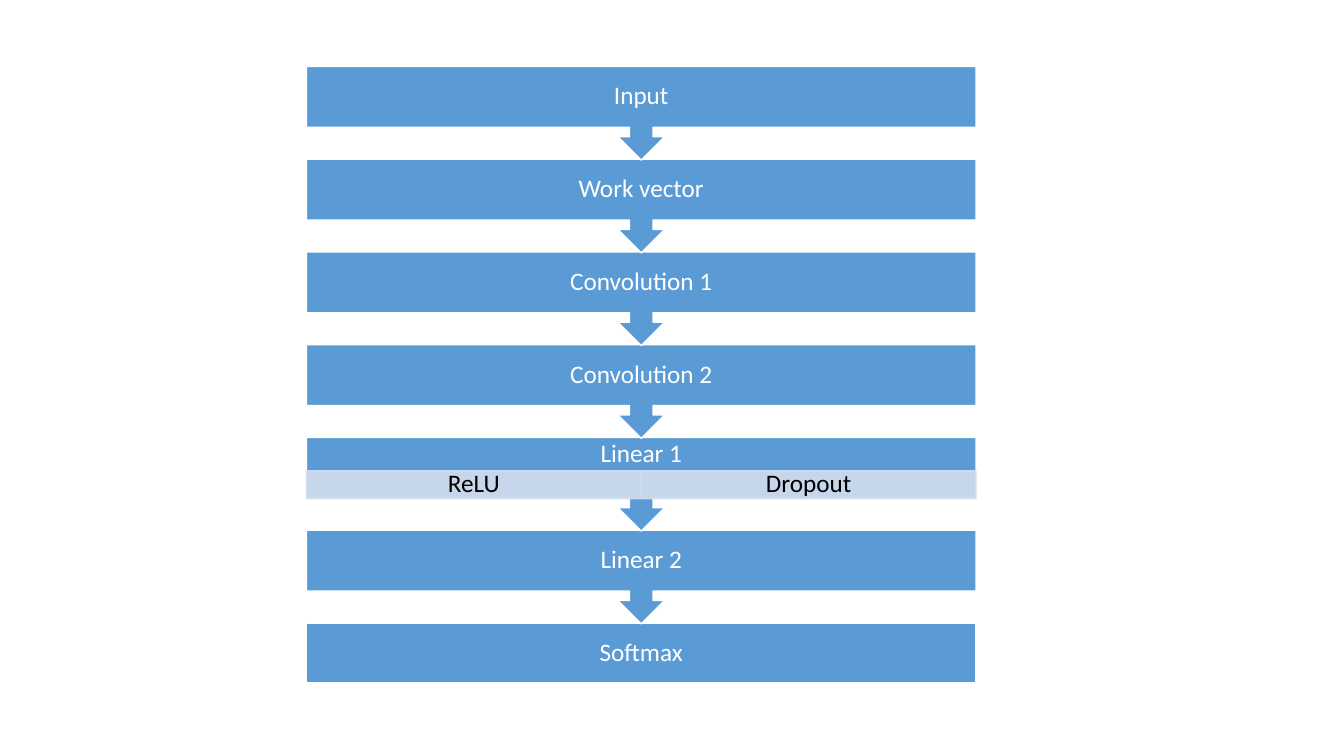
import pptx
import pptx.util
import pptx.dml.color
import pptx.enum.shapes
import pptx.enum.text
import pptx.oxml.ns
import lxml.etree

RGB = pptx.dml.color.RGBColor
BLUE = RGB(0x5B, 0x9B, 0xD5)
PALE = RGB(0xD2, 0xDE, 0xEF)
WHITE = RGB(0xFF, 0xFF, 0xFF)
BLACK = RGB(0x00, 0x00, 0x00)
KIND = pptx.enum.shapes.MSO_SHAPE

LAYERS = ["Input", "Work vector", "Convolution 1", "Convolution 2",
          "Linear 1", "Linear 2", "Softmax"]
CELLS = {"Linear 1": ["ReLU", "Dropout"]}

# Heights in rows of the grid
BAR = 0.65
CALL = 1.01
HEAD = 0.36
CELL = 0.3


class Flow:
    """Style and slide of a flow chart on a grid of columns and rows."""
    font, size = "Calibri", 18
    left, top, col, row = 3.04, 0.66, 3.32, 0.92

    def __init__(self, slide):
        """Keep the slide to draw on."""
        self.slide = slide

    def area(self, x, y, wide, high):
        """Turn grid units into slide lengths."""
        return [pptx.util.Inches(n) for n in (
            self.left + x * self.col, self.top + y * self.row,
            wide * self.col, high * self.row)]

    def block(self, kind, area, fill, line):
        """Add a filled, outlined shape."""
        shape = self.slide.shapes.add_shape(kind, *self.area(*area))
        shape.shadow.inherit = False
        shape.fill.solid()
        shape.fill.fore_color.rgb = fill
        shape.line.color.rgb = line
        shape.line.width = pptx.util.Pt(1)
        return shape

    def label(self, shape, text, color):
        """Write centred text in a shape or text box."""
        frame = shape.text_frame
        frame.word_wrap = True
        frame.vertical_anchor = pptx.enum.text.MSO_ANCHOR.MIDDLE
        frame.margin_left = frame.margin_right = pptx.util.Inches(0.14)
        frame.margin_top = frame.margin_bottom = pptx.util.Inches(0.03)
        para = frame.paragraphs[0]
        para.text = text
        para.alignment = pptx.enum.text.PP_ALIGN.CENTER
        para.line_spacing = 0.9
        para.font.name = self.font
        para.font.size = pptx.util.Pt(self.size)
        para.font.color.rgb = color

    def step(self, y, text, high):
        """Add a bar with an arrow down to the next one."""
        shape = self.block(KIND.UP_ARROW_CALLOUT, (0, y, 2, CALL), BLUE, WHITE)
        shape.rotation = 180
        box = self.slide.shapes.add_textbox(*self.area(0, y, 2, high))
        self.label(box, text, WHITE)

    def last(self, y, text):
        """Add the closing bar."""
        shape = self.block(KIND.RECTANGLE, (0, y, 2, BAR), BLUE, WHITE)
        self.label(shape, text, WHITE)

    def cell(self, x, y, text):
        """Add a pale, slightly clear cell inside a bar."""
        shape = self.block(KIND.RECTANGLE, (x, y, 1, CELL), PALE, PALE)
        tag = pptx.oxml.ns.qn("a:alpha")
        fills = shape.element.spPr.iter(pptx.oxml.ns.qn("a:srgbClr"))
        for tint in list(fills):
            lxml.etree.SubElement(tint, tag).set("val", "90000")
        self.label(shape, text, BLACK)


def main():
    """Build the slide, from the last layer up so arrows lie on top."""
    deck = pptx.Presentation()
    deck.slide_width = pptx.util.Inches(13.33)
    deck.slide_height = pptx.util.Inches(7.5)
    flow = Flow(deck.slides.add_slide(deck.slide_layouts[6]))
    end = len(LAYERS) - 1
    flow.last(end, LAYERS[end])
    for y in reversed(range(end)):
        name = LAYERS[y]
        cells = CELLS.get(name, [])
        flow.step(y, name, HEAD if cells else BAR)
        for x, text in enumerate(cells):
            flow.cell(x, y + HEAD, text)
    deck.save("out.pptx")


main()
